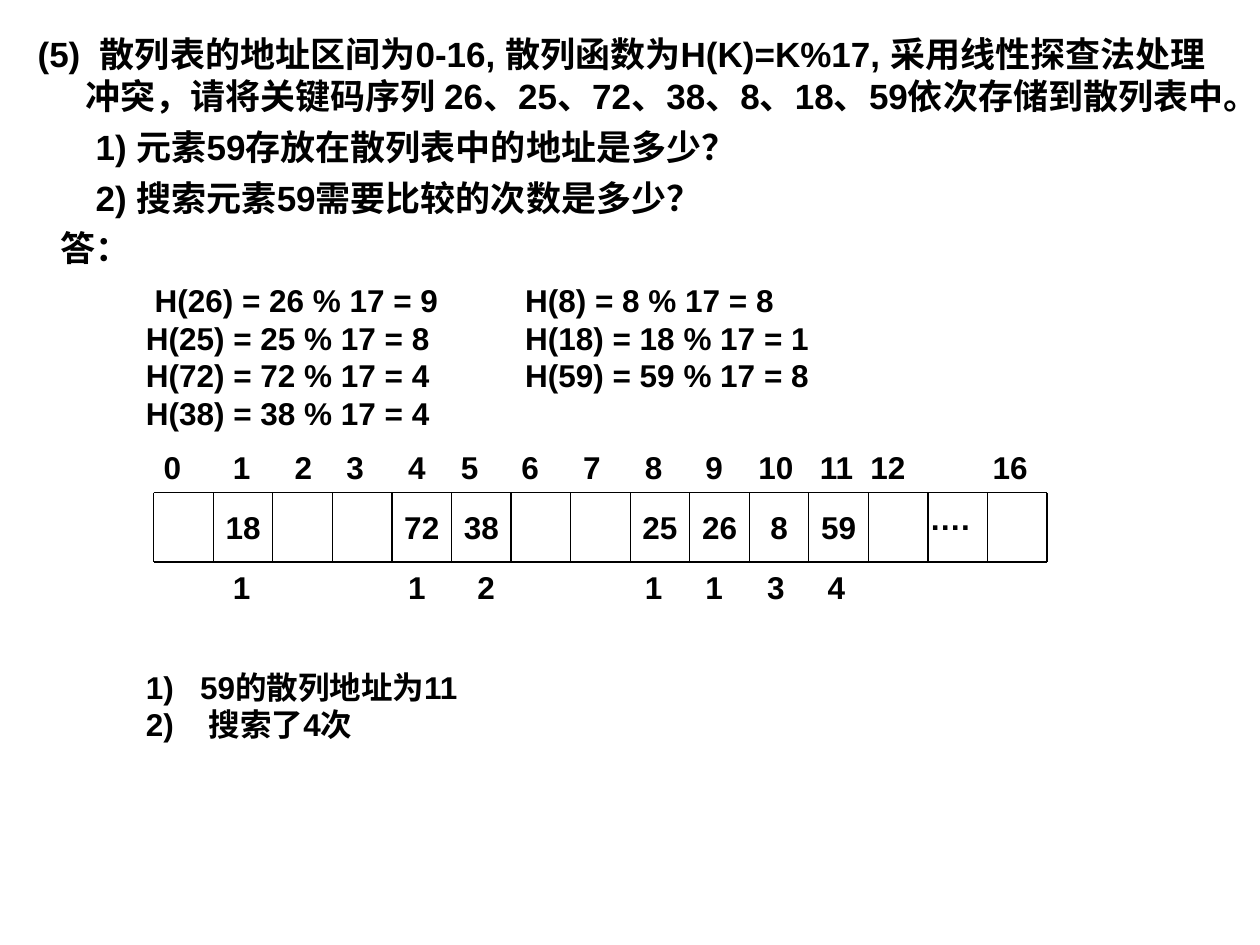
from pptx import Presentation
from pptx.dml.color import RGBColor as Rgb
from pptx.enum.shapes import MSO_CONNECTOR as Link
from pptx.enum.text import PP_ALIGN as Align
from pptx.oxml.ns import qn
from pptx.util import Inches, Pt
from lxml.etree import SubElement as Sub

INK = {"text": "000000", "line": "000000"}
LEFT, TOP, LOW, WIDE, COLS = 1.22, 3.91, 4.46, 7.09, 15
STEP = WIDE / COLS


class Deck:
    """Hold the text style and the current slide."""

    def __init__(self):
        self.show = Presentation()
        self.show.slide_width = Inches(10)
        self.show.slide_height = Inches(7.5)
        self.slide = self.show.slides.add_slide(self.show.slide_layouts[6])
        self.font = {"name": "Arial", "bold": True}

    def text(self, box, lines, size=18, gap=0, pads=(), hang=0,
             align=Align.LEFT):
        frame = self.slide.shapes.add_textbox(*map(Inches, box)).text_frame
        frame.word_wrap = True
        for num, line in enumerate(lines):
            para = frame.add_paragraph() if num else frame.paragraphs[0]
            para.alignment = align
            para.space_before = Pt(gap)
            props = para._p.get_or_add_pPr()
            props.set("marL", str(Inches(pads[num] if pads else hang)))
            props.set("indent", str(-Inches(0 if pads and num else hang)))
            run = para.add_run()
            run.text = line
            for key, val in {**self.font, "size": Pt(size)}.items():
                setattr(run.font, key, val)
            run.font.color.rgb = Rgb.from_string(INK["text"])

    def line(self, *ends):
        rule = self.slide.shapes.add_connector(Link.STRAIGHT, *map(Inches, ends))
        rule.line.color.rgb = Rgb.from_string(INK["line"])
        rule.line.width = Pt(0.75)
        Sub(rule._element.spPr, qn("a:effectLst"))

    def grid(self):
        for y in (TOP, LOW):
            self.line(LEFT, y, LEFT + WIDE, y)
        for col in range(COLS + 1):
            x = LEFT + col * STEP
            self.line(x, TOP, x, LOW)

    def cell(self, col, word):
        box = (LEFT + col * STEP - 0.08, 3.98, STEP + 0.16, 0.4)
        self.text(box, [word], align=Align.CENTER)

    def marks(self, top, items):
        for word, x in items:
            self.text((x, top, 0.6, 0.4), [word])


def main():
    deck = Deck()
    deck.text((0.2, 0.21, 9.61, 7.09), [
        "(5)  散列表的地址区间为0-16, 散列函数为H(K)=K%17, 采用线性探查法处理冲突，"
        "请将关键码序列 26、25、72、38、8、18、59依次存储到散列表中。",
        "1) 元素59存放在散列表中的地址是多少？",
        "2) 搜索元素59需要比较的次数是多少？",
        "答：",
    ], size=20, gap=5, pads=(0.38, 0.46, 0.46, 0.18), hang=0.38)
    deck.text((1.06, 2.18, 2.9, 1.57), [
        " H(26) = 26 % 17 = 9",
        "H(25) = 25 % 17 = 8",
        "H(72) = 72 % 17 = 4",
        "H(38) = 38 % 17 = 4",
    ])
    deck.text((4.07, 2.18, 4.86, 1.57), [
        "H(8) = 8 % 17 = 8",
        "H(18) = 18 % 17 = 1",
        "H(59) = 59 % 17 = 8",
    ])
    deck.text((1.06, 5.25, 5.75, 0.7),
              ["1)\t59的散列地址为11", "2)\t 搜索了4次"], hang=0.43)

    heads = {"0": 1.2, "1": 1.75, "2": 2.24, "3": 2.65, "4": 3.14,
             "5": 3.56, "6": 4.04, "7": 4.53, "8": 5.02, "9": 5.5,
             "10": 5.92, "11": 6.41, "12": 6.81, "16": 7.78}
    counts = [("1", 1.75), ("1", 3.14), ("2", 3.69), ("1", 5.02),
              ("1", 5.5), ("3", 5.99), ("4", 6.47)]
    deck.marks(3.51, heads.items())
    deck.marks(LOW, counts)

    deck.grid()
    keys = {1: "18", 4: "72", 5: "38", 8: "25", 9: "26", 10: "8", 11: "59"}
    for col, key in keys.items():
        deck.cell(col, key)
    deck.text((7.28, TOP, 0.94, 0.4), ["…."])
    deck.show.save("out.pptx")


if __name__ == "__main__":
    main()
